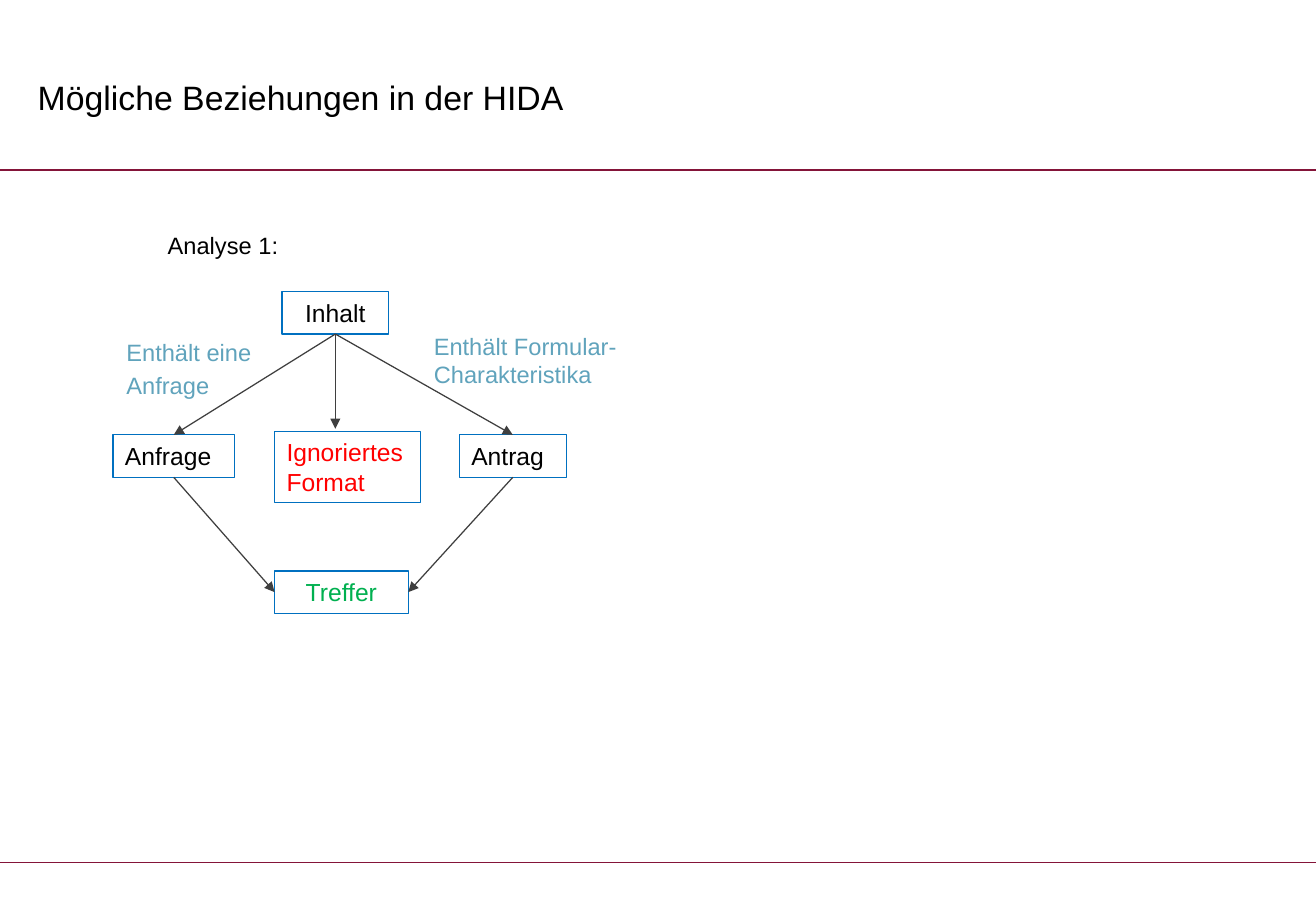
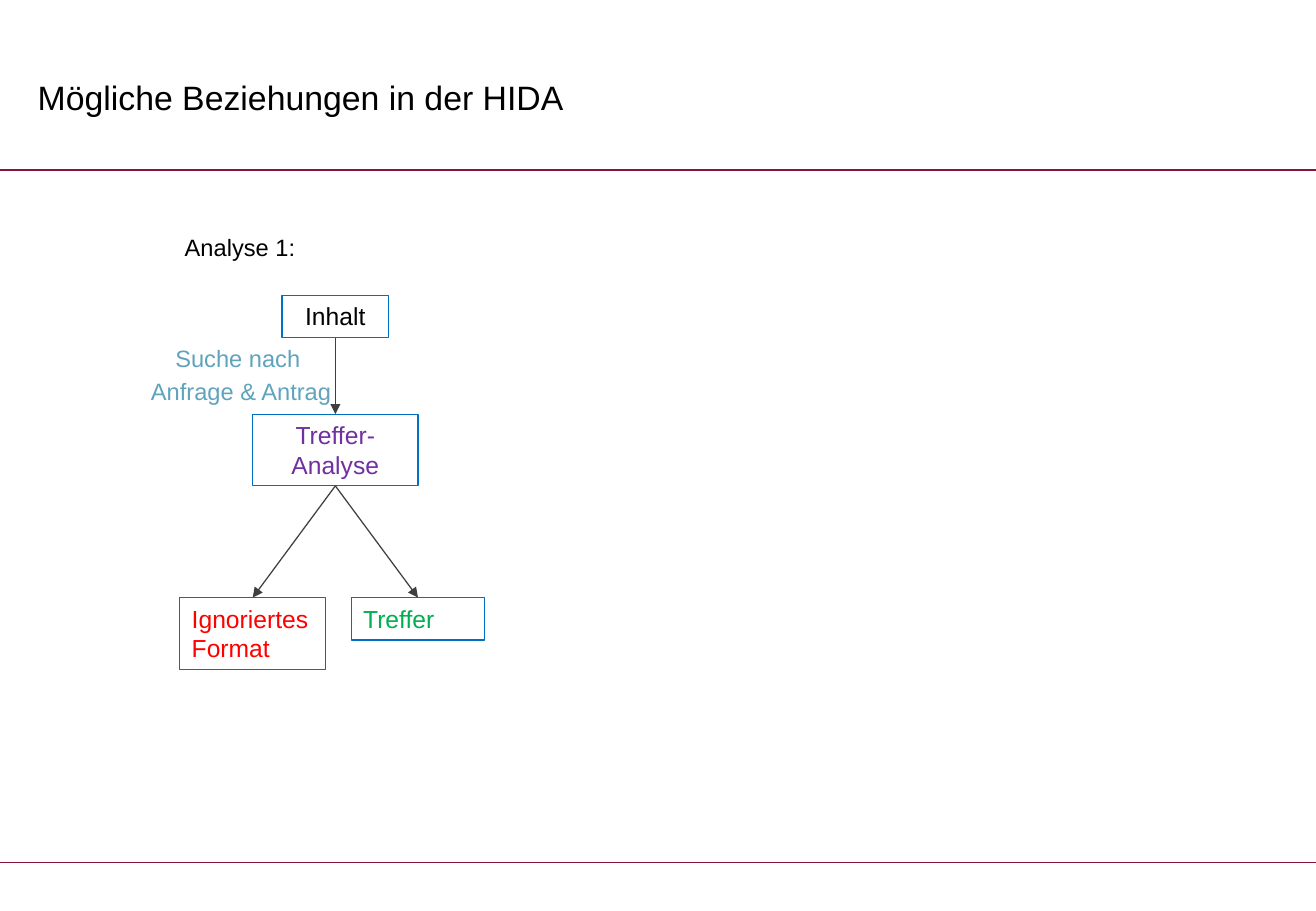
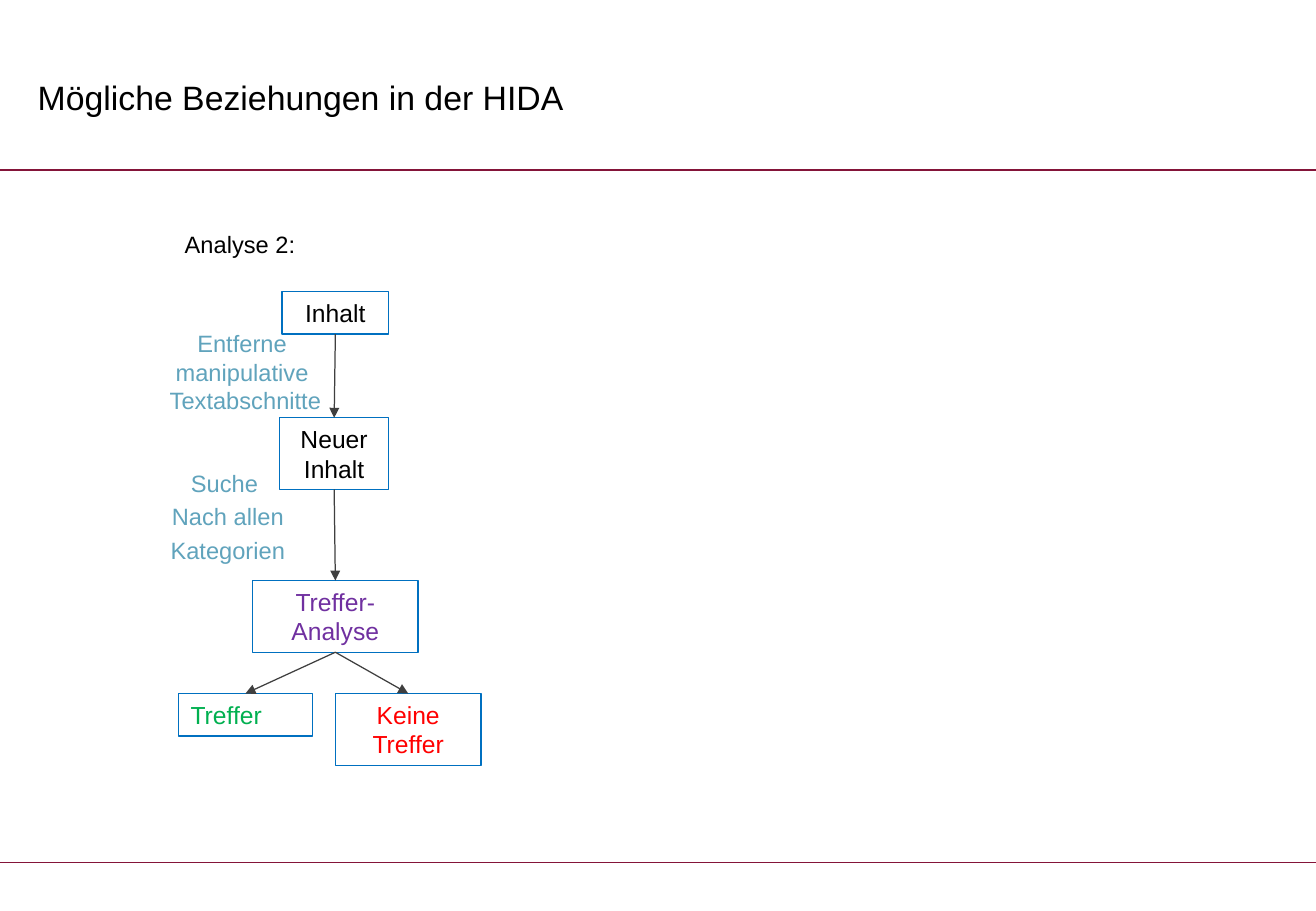
from dataclasses import dataclass
from copy import deepcopy
from enum import IntEnum
from typing import Any, Optional

from lxml.etree import SubElement
from pptx import Presentation
from pptx.dml.color import RGBColor
from pptx.enum.shapes import MSO_CONNECTOR, MSO_SHAPE
from pptx.enum.text import MSO_ANCHOR, MSO_AUTO_SIZE, PP_ALIGN
from pptx.oxml.ns import qn
from pptx.util import Inches, Pt

WIDTH, HEIGHT = 10.83, 7.5
TITLE = "Mögliche Beziehungen in der HIDA"
RULE_HEIGHTS = (7.1, 1.4)
BLACK, RED, GREEN, PURPLE = "000000", "FF0000", "00B050", "7030A0"
NOTE_BLUE, BOX_BLUE, ARROW_GREY, MAROON = "60A3BC", "0070C0", "3F3F3F", "841439"
LEFT, CENTER = PP_ALIGN.LEFT, PP_ALIGN.CENTER
ONE_LINE, TWO_LINES = 0.35, 0.59
NO_INSETS = {f"margin_{side}": 0 for side in ("left", "top", "right", "bottom")}
TITLE_FRAME = {**NO_INSETS, "vertical_anchor": MSO_ANCHOR.MIDDLE}
NOTE_FRAME = {**NO_INSETS, "word_wrap": False}
NODE_FRAME = {
    "word_wrap": True,
    "vertical_anchor": MSO_ANCHOR.TOP,
    "auto_size": MSO_AUTO_SIZE.SHAPE_TO_FIT_TEXT,
}


class Side(IntEnum):
    TOP = 0
    LEFT = 1
    BOTTOM = 2
    RIGHT = 3


@dataclass(frozen=True)
class Node:
    text: str
    left: float
    top: float
    width: float
    height: float = ONE_LINE
    color: str = BLACK
    align: PP_ALIGN = CENTER


@dataclass(frozen=True)
class Note:
    text: str
    left: float
    top: float
    width: float
    height: float
    color: str = NOTE_BLUE
    align: PP_ALIGN = CENTER


@dataclass(frozen=True)
class Arrow:
    start: str
    end: str
    end_side: Side = Side.TOP
    end_point: Optional[tuple[float, float]] = None


@dataclass(frozen=True)
class Diagram:
    nodes: dict[str, Node]
    notes: list[Note]
    arrows: list[Arrow]


def heading(text: str, left: float, top: float) -> Note:
    return Note(text, left, top, 1, 0.31, BLACK, LEFT)


def content(top: float) -> Node:
    return Node("Inhalt", 2.32, top, 0.88)


def analysis(top: float) -> Node:
    return Node("Treffer-Analyse", 2.08, top, 1.36, TWO_LINES, PURPLE)


def hit(left: float, top: float, align: PP_ALIGN = LEFT) -> Node:
    return Node("Treffer", left, top, 1.1, ONE_LINE, GREEN, align)


def rejected(text: str, left: float, top: float, align: PP_ALIGN = LEFT) -> Node:
    return Node(text, left, top, 1.2, TWO_LINES, RED, align)


DIAGRAMS = [
    Diagram(
        {
            "query": Node("Anfrage", 0.93, 3.58, 1, align=LEFT),
            "content": content(2.4),
            "form": Node("Antrag", 3.78, 3.58, 0.88, align=LEFT),
            "ignored": rejected("Ignoriertes\vFormat", 2.26, 3.55),
            "hit": hit(2.26, 4.7, CENTER),
        },
        [
            heading("Analyse 1:", 1.38, 1.9),
            Note("Enthält eine\nAnfrage", 1.04, 2.78, 1.2, 0.51, align=LEFT),
            Note("Enthält Formular-\vCharakteristika", 3.57, 2.73, 1.6, 0.43, align=LEFT),
        ],
        [
            Arrow("content", "query"),
            Arrow("content", "form"),
            Arrow("content", "ignored", end_point=(2.76, 3.53)),
            Arrow("query", "hit", Side.LEFT),
            Arrow("form", "hit", Side.RIGHT),
        ],
    ),
    Diagram(
        {
            "content": content(2.43),
            "analysis": analysis(3.41),
            "hit": hit(2.89, 4.92),
            "ignored": rejected("Ignoriertes\vFormat", 1.48, 4.92),
        },
        [
            heading("Analyse 1:", 1.52, 1.92),
            Note("Suche nach \nAnfrage & Antrag", 1.2, 2.83, 1.57, 0.83),
        ],
        [
            Arrow("content", "analysis"),
            Arrow("analysis", "hit"),
            Arrow("analysis", "ignored"),
        ],
    ),
    Diagram(
        {
            "new": Node("Neuer Inhalt", 2.3, 3.44, 0.9, TWO_LINES),
            "content": content(2.4),
            "analysis": analysis(4.78),
            "none": rejected("Keine\vTreffer", 2.76, 5.71, CENTER),
            "hit": hit(1.47, 5.71),
        },
        [
            heading("Analyse 2:", 1.52, 1.89),
            Note("Entferne \vmanipulative \vTextabschnitte", 1.32, 2.71, 1.4, 0.74),
            Note("Suche \nNach allen\nKategorien", 1.2, 3.86, 1.35, 0.83),
        ],
        [
            Arrow("content", "new"),
            Arrow("new", "analysis"),
            Arrow("analysis", "hit"),
            Arrow("analysis", "none"),
        ],
    ),
]


def rgb(color: str) -> RGBColor:
    return RGBColor.from_string(color)


def apply_format(target: Any, values: dict[str, Any]) -> None:
    for name, value in values.items():
        setattr(target, name, value)


def write_text(frame: Any, text: str, size: float, color: str, paragraph: dict[str, Any]) -> None:
    frame.text = text
    for para in frame.paragraphs:
        apply_format(para, paragraph)
        for span in para.runs:
            apply_format(span.font, {"name": "Arial", "size": Pt(size)})
            span.font.color.rgb = rgb(color)
        for line_break in para._p.findall(qn("a:br")):
            line_break.append(deepcopy(para.runs[0]._r.rPr))


def set_line(line: Any, color: str) -> None:
    line.color.rgb = rgb(color)
    line.width = Pt(0.75)


def add_line(slide: Any, start: tuple[float, float], end: tuple[float, float], color: str) -> Any:
    points = [Inches(value) for value in (*start, *end)]
    connector = slide.shapes.add_connector(MSO_CONNECTOR.STRAIGHT, *points)
    set_line(connector.line, color)
    SubElement(connector.element.spPr, qn("a:effectLst"))
    return connector


def bounds(item: Node | Note) -> list[int]:
    return [Inches(value) for value in (item.left, item.top, item.width, item.height)]


def add_node(slide: Any, node: Node) -> Any:
    box = slide.shapes.add_shape(MSO_SHAPE.RECTANGLE, *bounds(node))
    box.shadow.inherit = False
    box.fill.background()
    set_line(box.line, BOX_BLUE)
    apply_format(box.text_frame, NODE_FRAME)
    write_text(box.text_frame, node.text, 14.6, node.color, {"alignment": node.align})
    return box


def add_note(slide: Any, note: Note) -> None:
    box = slide.shapes.add_textbox(*bounds(note))
    apply_format(box.text_frame, NOTE_FRAME)
    paragraph = {"alignment": note.align, "space_before": Pt(3)}
    write_text(box.text_frame, note.text, 14, note.color, paragraph)


def add_arrow(slide: Any, arrow: Arrow, boxes: dict[str, Any]) -> None:
    connector = add_line(slide, (0, 0), arrow.end_point or (0, 0), ARROW_GREY)
    connector.begin_connect(boxes[arrow.start], Side.BOTTOM)
    if arrow.end_point is None:
        connector.end_connect(boxes[arrow.end], arrow.end_side)
    SubElement(connector.line._get_or_add_ln(), qn("a:tailEnd"), type="triangle")


def style_layout(layout: Any) -> None:
    title = next(item for item in layout.placeholders if item.placeholder_format.idx == 0)
    apply_format(title, {
        "left": Inches(0.31),
        "top": Inches(0.36),
        "width": Inches(8.15),
        "height": Inches(0.92),
    })
    apply_format(title.text_frame, TITLE_FRAME)


def add_rules(slide: Any, layout: Any) -> None:
    for height in RULE_HEIGHTS:
        rule = add_line(slide, (0, height), (WIDTH, height), MAROON)
        layout.shapes.element.append(rule.element)


def add_diagram(slide: Any, diagram: Diagram) -> None:
    paragraph = {"alignment": LEFT, "line_spacing": 0.9}
    write_text(slide.shapes.title.text_frame, TITLE, 20, BLACK, paragraph)
    boxes = {name: add_node(slide, node) for name, node in diagram.nodes.items()}
    for note in diagram.notes:
        add_note(slide, note)
    for arrow in diagram.arrows:
        add_arrow(slide, arrow, boxes)


def main() -> None:
    deck = Presentation()
    apply_format(deck, {"slide_width": Inches(WIDTH), "slide_height": Inches(HEIGHT)})
    layout = deck.slide_layouts.get_by_name("Title Only")
    style_layout(layout)
    pages = [deck.slides.add_slide(layout) for _ in DIAGRAMS]
    add_rules(pages[0], layout)
    for page, diagram in zip(pages, DIAGRAMS):
        add_diagram(page, diagram)
    deck.save("out.pptx")


if __name__ == "__main__":
    main()
